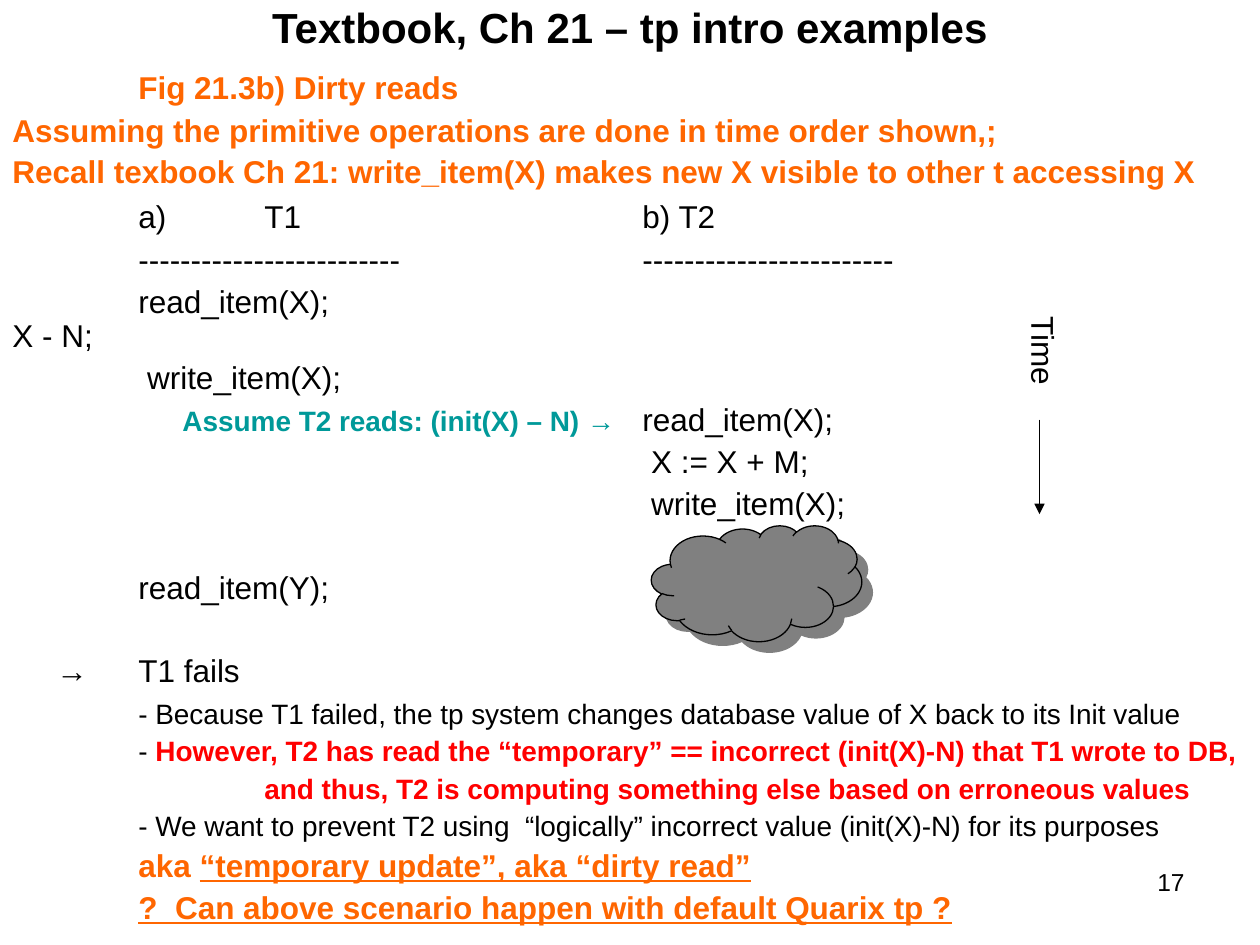
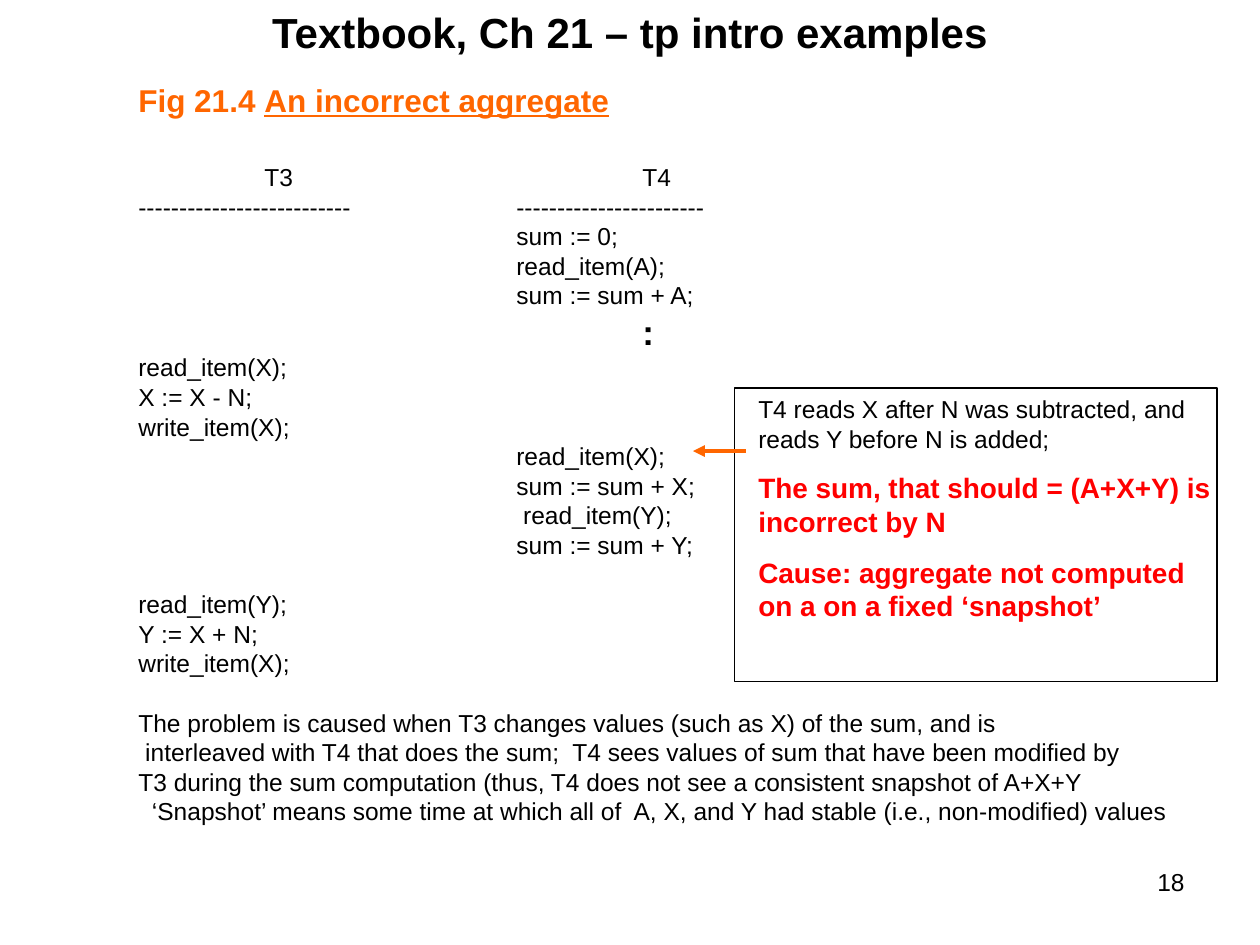
import dataclasses
import typing

import lxml.etree
import pptx
import pptx.dml.color
import pptx.enum.shapes
import pptx.enum.text
import pptx.oxml.ns
import pptx.util

Inches = pptx.util.Inches
Pt = pptx.util.Pt
qn = pptx.oxml.ns.qn
ALIGN = pptx.enum.text.PP_ALIGN
ANCHOR = pptx.enum.text.MSO_ANCHOR
SHAPE = pptx.enum.shapes.MSO_SHAPE

FONT = "Arial"
TITLE = "Textbook, Ch 21 – tp intro examples"
COLORS = {
    "black": "000000",
    "orange": "FF6600",
    "teal": "009999",
    "red": "FF0000",
    "gray": "808080",
}


class Style(typing.NamedTuple):
    size: int
    color: str = "black"
    bold: bool = False
    underline: bool = False


class Box(typing.NamedTuple):
    left: float
    top: float
    width: float
    height: float


@dataclasses.dataclass
class Line:
    runs: list[tuple[str, Style]]
    before: float
    tabs: tuple[float, ...] = ()


@dataclasses.dataclass
class Arrow:
    start: tuple[float, float]
    end: tuple[float, float]
    color: str
    width: float


HEADING = Style(24, bold=True)
TOPIC = Style(18, "orange", True)
TERM = Style(18, "orange", True, True)
CODE = Style(18)
NOTE = Style(16)
ASIDE = Style(16, "teal", True)
WARNING = Style(16, "red", True)
SMALL = Style(14)

PAGE_NUMBER = Box(7.17, 6.83, 2.33, 0.52)


def rgb(name: str) -> pptx.dml.color.RGBColor:
    return pptx.dml.color.RGBColor.from_string(COLORS[name])


def format_run(r, style: Style) -> None:
    r.font.name = FONT
    r.font.size = Pt(style.size)
    r.font.bold = style.bold
    r.font.underline = style.underline
    r.font.color.rgb = rgb(style.color)


def set_tabs(p, stops: tuple[float, ...]) -> None:
    tab_list = lxml.etree.SubElement(p._p.get_or_add_pPr(), qn("a:tabLst"))
    for stop in stops:
        lxml.etree.SubElement(tab_list, qn("a:tab"), pos=str(Inches(stop)), algn="l")


def place(sp, box: Box) -> None:
    sp.left, sp.top, sp.width, sp.height = map(Inches, box)


def add_text(slide, box: Box, lines: list[Line], spacing: float = 1.0,
             align: ALIGN = ALIGN.LEFT):
    sp = slide.shapes.add_textbox(*map(Inches, box))
    tf = sp.text_frame
    tf.word_wrap = True
    for i, line in enumerate(lines):
        p = tf.paragraphs[0] if i == 0 else tf.add_paragraph()
        p.alignment = align
        p.line_spacing = spacing
        p.space_before = Pt(line.before)
        if line.tabs:
            set_tabs(p, line.tabs)
        for text, style in line.runs:
            r = p.add_run()
            r.text = text
            format_run(r, style)
    return sp


def add_arrow(slide, arrow: Arrow) -> None:
    ends = map(Inches, arrow.start + arrow.end)
    cn = slide.shapes.add_connector(pptx.enum.shapes.MSO_CONNECTOR.STRAIGHT, *ends)
    cn.line.color.rgb = rgb(arrow.color)
    cn.line.width = Pt(arrow.width)
    lxml.etree.SubElement(cn.line._get_or_add_ln(), qn("a:tailEnd"), type="triangle")
    lxml.etree.SubElement(cn._element.spPr, qn("a:effectLst"))


def add_outlined(slide, kind: SHAPE, box: Box):
    sp = slide.shapes.add_shape(kind, *map(Inches, box))
    sp.shadow.inherit = False
    sp.fill.background()
    sp.line.color.rgb = rgb("black")
    sp.line.width = Pt(0.75)
    return sp


def add_cloud(slide, box: Box) -> None:
    sp = add_outlined(slide, SHAPE.CLOUD, box)
    sp.fill.solid()
    sp.fill.fore_color.rgb = rgb("gray")
    effects = sp._element.spPr.find(qn("a:effectLst"))
    shadow = lxml.etree.SubElement(effects, qn("a:outerShdw"), blurRad="0",
                                   dist=str(Pt(8.5)), dir=str(45 * 60000),
                                   algn="ctr", rotWithShape="0")
    lxml.etree.SubElement(shadow, qn("a:srgbClr"), val=COLORS["gray"])


def new_slide(prs, title_height: float, number: int):
    slide = prs.slides.add_slide(prs.slide_layouts[5])
    title = slide.shapes.title
    place(title, Box(0.75, 0, 8.5, title_height))
    tf = title.text_frame
    tf.text = TITLE
    tf.auto_size = pptx.enum.text.MSO_AUTO_SIZE.NONE
    tf.vertical_anchor = ANCHOR.MIDDLE
    p = tf.paragraphs[0]
    p.alignment = ALIGN.CENTER
    format_run(p.runs[0], HEADING)
    add_text(slide, PAGE_NUMBER, [Line([(str(number), SMALL)], 0)], align=ALIGN.RIGHT)
    return slide


def step(text: str, style: Style = CODE, before: float = 4.5,
         tabs: tuple[float, ...] = (1, 5)) -> Line:
    return Line([(text, style)], before, tabs)


def small_step(text: str, before: float = 3.5,
               tabs: tuple[float, ...] = (1, 4)) -> Line:
    return step(text, SMALL, before, tabs)


def build_dirty_reads(prs) -> None:
    slide = new_slide(prs, 0.42, 17)
    after_gap = 28.5
    lines = [
        Line([("\t", Style(20)), ("Fig 21.3b) Dirty reads", TOPIC)], 4.5, (1,)),
        step("Assuming the primitive operations are done in time order shown,;", TOPIC),
        step("Recall texbook Ch 21: write_item(X) makes new X visible to other t accessing X", TOPIC),
        Line([("\t", Style(20)), ("a)\tT1\tb) T2", CODE)], 4.5, (1, 2, 5)),
        step("\t" + "-" * 25 + "\t" + "-" * 24),
        step("\tread_item(X);"),
        step("X - N;", before=0),
        step("\t write_item(X);"),
        Line([("\t", CODE), ("Assume T2 reads: (init(X) – N) →\t", ASIDE),
              ("read_item(X);", CODE)], 4.5, (1.35, 5)),
        step("\t\t X := X + M;"),
        step("\t\t write_item(X);"),
        step("\tread_item(Y);", before=after_gap),
        step("\t→\tT1 fails", before=after_gap, tabs=(0.35, 1)),
        Line([("\t", CODE),
              ("- Because T1 failed, the tp system changes database value of X back to its Init value", NOTE)],
             4, (1,)),
        Line([("\t- ", NOTE),
              ("However, T2 has read the “temporary” == incorrect (init(X)-N) that T1 wrote to DB,", WARNING)],
             4, (1,)),
        step("\tand thus, T2 is computing something else based on erroneous values",
             WARNING, 4, (2,)),
        step("\t- We want to prevent T2 using  “logically” incorrect value (init(X)-N) for its purposes",
             NOTE, 4),
        Line([("\taka ", TOPIC), ("“temporary update”, aka “dirty read”", TERM)], 4.5, (1,)),
        Line([("\t", TOPIC),
              ("?  Can above scenario happen with default Quarix tp ?", TERM)], 4.5, (1,)),
    ]
    add_text(slide, Box(0, 0.5, 10, 7), lines, spacing=0.9)
    time_label = add_text(slide, Box(7.37, 3.13, 1.83, 0.4), [Line([("Time", CODE)], 11.2)])
    time_label.rotation = 90
    add_arrow(slide, Arrow((8.25, 3.33), (8.25, 4.08), "black", 0.75))
    add_cloud(slide, Box(5.17, 4.17, 1.67, 0.92))


def build_incorrect_aggregate(prs) -> None:
    slide = new_slide(prs, 0.5, 18)
    after_gap = 20.4
    lines = [
        Line([("\t", Style(32, bold=True)), ("Fig 21.4 ", TOPIC),
              ("An incorrect aggregate", TERM)], 4.5, (1,)),
        small_step("\tT3\tT4", 25.5, (2, 5)),
        small_step("\t" + "-" * 26 + "\t" + "-" * 23),
        small_step("\t\tsum := 0;"),
        small_step("\t\tread_item(A);"),
        small_step("\t\tsum := sum + A;"),
        step("\t:", Style(20, bold=True), 5, (5,)),
        small_step("\tread_item(X);"),
        small_step("\tX := X - N;"),
        small_step("\twrite_item(X);"),
        small_step("\t\tread_item(X);"),
        small_step("\t\tsum := sum + X;"),
        small_step("\t\t read_item(Y);"),
        small_step("\t\tsum := sum + Y;"),
        small_step("\tread_item(Y);", after_gap),
        small_step("\tY := X + N;"),
        small_step("\twrite_item(X);"),
        small_step("\tThe problem is caused when T3 changes values (such as X) of the sum, and is", after_gap),
        small_step("\t interleaved with T4 that does the sum;  T4 sees values of sum that have been modified by"),
        small_step("\tT3 during the sum computation (thus, T4 does not see a consistent snapshot of A+X+Y"),
        small_step("\t  ‘Snapshot’ means some time at which all of  A, X, and Y had stable (i.e., non-modified) values"),
    ]
    add_text(slide, Box(0, 0.5, 9.83, 6.67), lines, spacing=0.8)
    add_outlined(slide, SHAPE.RECTANGLE, Box(5.83, 3.08, 3.83, 2.33))
    add_text(slide, Box(5.92, 3.08, 3.83, 1.91), [
        Line([("T4 reads X after N was subtracted, and reads Y before N is added;", SMALL)], 8.8),
        Line([("The sum, that should = (A+X+Y) is incorrect by N", WARNING)], 10),
        Line([("Cause: aggregate not computed on a on a fixed ‘snapshot’", WARNING)], 10),
    ])
    add_arrow(slide, Arrow((5.92, 3.58), (5.5, 3.58), "orange", 2.25))


def main() -> None:
    prs = pptx.Presentation()
    prs.slide_width = Inches(10)
    prs.slide_height = Inches(7.5)
    build_dirty_reads(prs)
    build_incorrect_aggregate(prs)
    prs.save("out.pptx")


if __name__ == "__main__":
    main()
